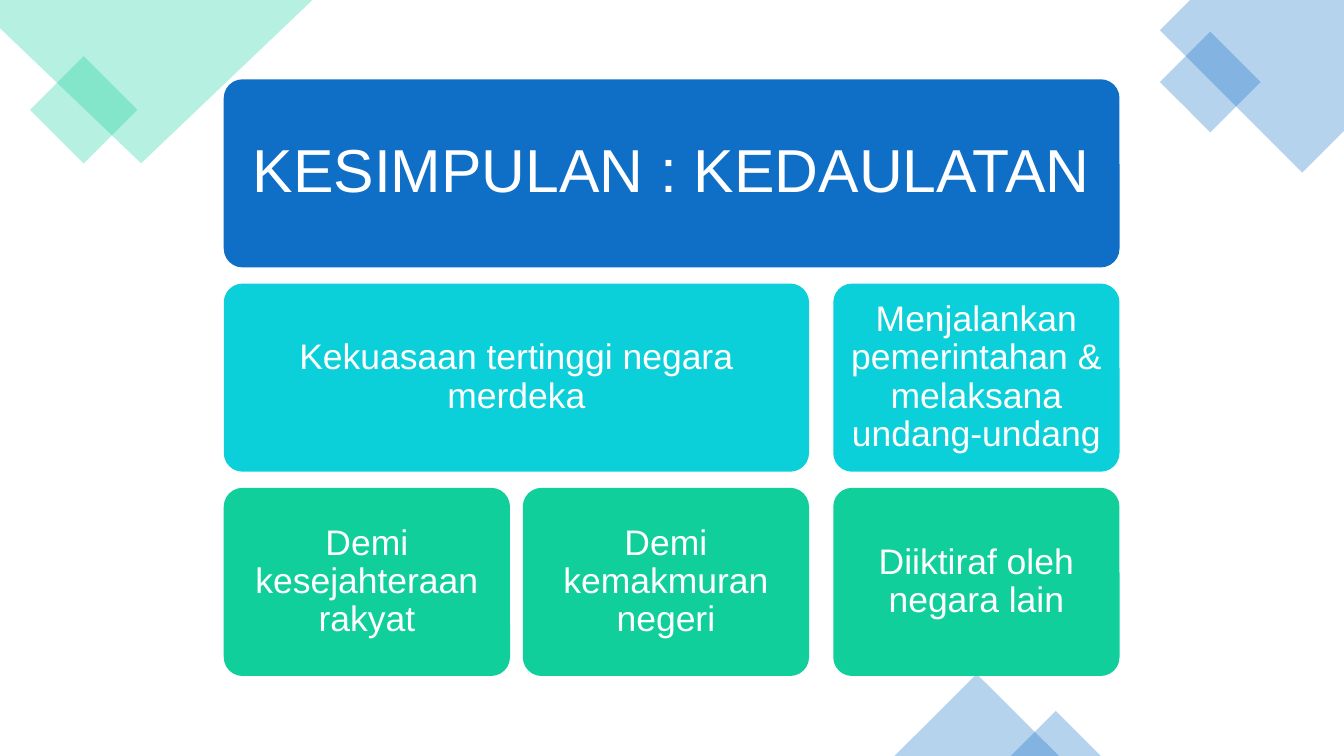
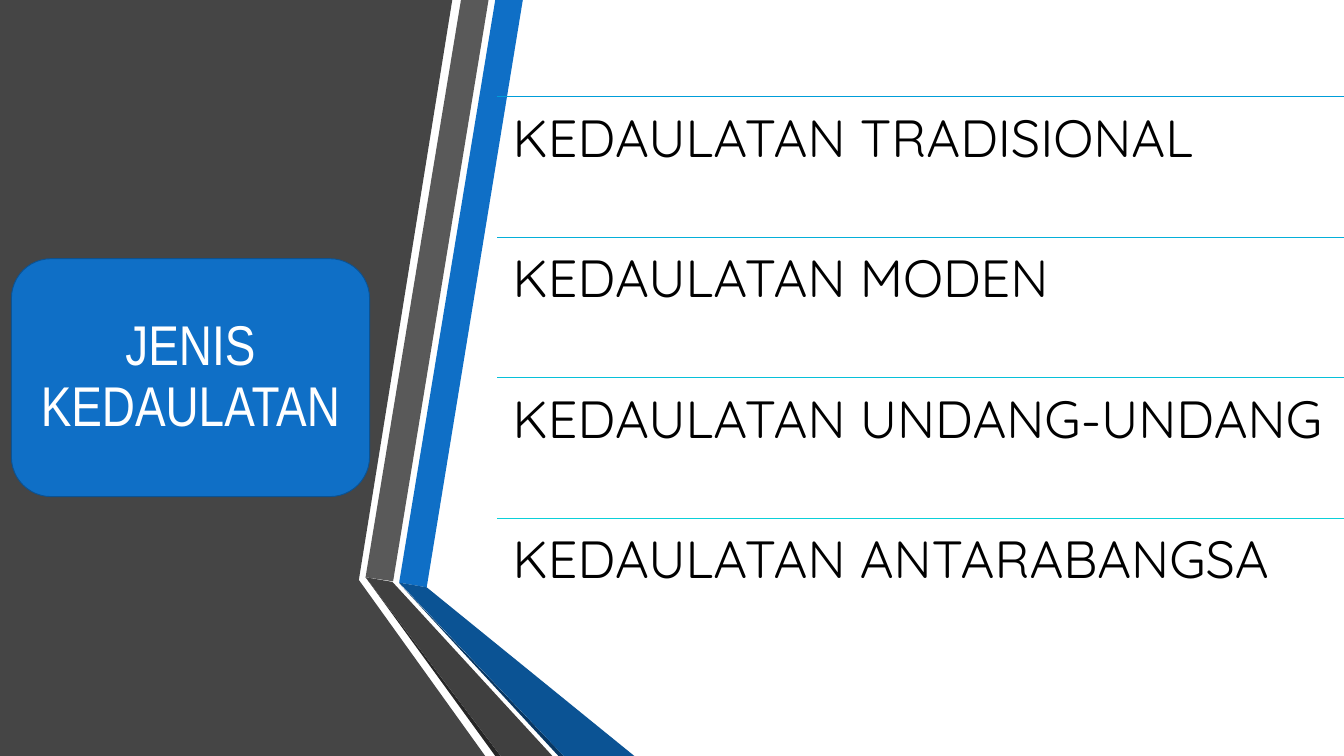
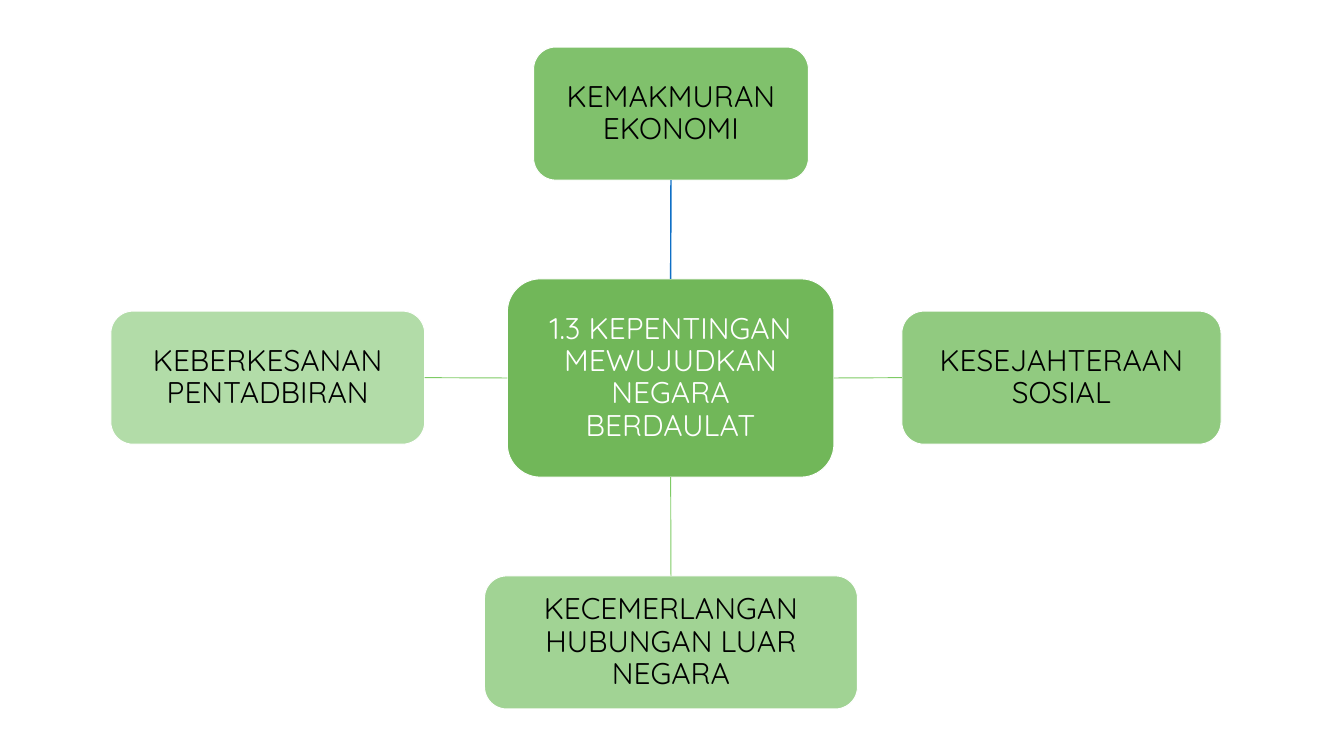
from lxml import etree
from pptx import Presentation
from pptx.dml.color import RGBColor
from pptx.enum.shapes import MSO_CONNECTOR, MSO_SHAPE
from pptx.enum.text import MSO_ANCHOR, PP_ALIGN
from pptx.oxml.ns import qn
from pptx.util import Inches, Pt

STRAIGHT = MSO_CONNECTOR.STRAIGHT
ROUNDED, DIAMOND, TRIANGLE = MSO_SHAPE.ROUNDED_RECTANGLE, MSO_SHAPE.RECTANGLE, MSO_SHAPE.ISOSCELES_TRIANGLE
LEFT, CENTER = PP_ALIGN.LEFT, PP_ALIGN.CENTER
TOP, MIDDLE = MSO_ANCHOR.TOP, MSO_ANCHOR.MIDDLE

# The slide is a grid of square cells, 20 columns by 11.25 rows.
CELL = Inches(1)
COLUMNS, ROWS = 20, 11.25

COLOURS = {
    "white": "FFFFFF", "black": "000000",
    "blue": "0F6FC6", "cyan": "0BD0D9", "green": "10CF9B",
    "blue edge": "0B5292", "blue fold": "0B5394", "blue shade": "083763",
    "panel": "454545", "grey": "595959", "grey fold": "404040", "grey shade": "262626",
    "rule 1": "009DD9", "rule 2": "04AFD9", "rule 3": "07C0D9", "rule 4": "0BD0D9",
    "hub": "71B759", "top": "80C16C", "right": "91CA80", "bottom": "A1D394", "left": "B2DCA8",
    "spoke": "7ECB65",
}
FONTS = {
    "heading": {"name": "Arial", "size": Pt(65)},
    "card": {"name": "Arial", "size": Pt(38)},
    "label": {"name": "Arial Narrow", "size": Pt(60)},
    "list": {"name": "Quicksand", "size": Pt(56)},
    "node": {"name": "Quicksand", "size": Pt(32)},
}


def add_figure(slide, fill, preset=None, box=None, points=None, line=None, opacity=100):
    """Add a preset shape in a box of cells, or a closed outline through points."""
    if points:
        corners = [(round(x * CELL), round(y * CELL)) for x, y in points]
        builder = slide.shapes.build_freeform(*corners[0])
        builder.add_line_segments(corners[1:], close=True)
        shape = builder.convert_to_shape()
    else:
        shape = slide.shapes.add_shape(preset, *(round(length * CELL) for length in box))
    shape.shadow.inherit = False
    shape.fill.solid()
    shape.fill.fore_color.rgb = RGBColor.from_string(COLOURS[fill])
    if opacity < 100:
        colour = shape.element.spPr.find(qn("a:solidFill"))[0]
        etree.SubElement(colour, qn("a:alpha"), val=str(opacity * 1000))
    if line:
        shape.line.color.rgb = RGBColor.from_string(COLOURS[line])
        shape.line.width = Pt(1)
    else:
        shape.line.fill.background()
    return shape


def write(shape, text, font, colour, inset, alignment=CENTER, anchor=MIDDLE):
    frame = shape.text_frame
    margin = round(inset * CELL)
    frame_format = {"word_wrap": True, "vertical_anchor": anchor, "margin_left": margin,
                    "margin_right": margin, "margin_top": margin, "margin_bottom": margin}
    for name, value in frame_format.items():
        setattr(frame, name, value)
    paragraph = frame.paragraphs[0]
    paragraph.text = text
    paragraph.alignment = alignment
    paragraph.line_spacing = 0.9
    for name, value in FONTS[font].items():
        setattr(paragraph.font, name, value)
    paragraph.font.color.rgb = RGBColor.from_string(COLOURS[colour])


presentation = Presentation()
presentation.slide_width = COLUMNS * CELL
presentation.slide_height = round(ROWS * CELL)
blank = presentation.slide_layouts[6]
summary, types, importance = (presentation.slides.add_slide(blank) for _ in range(3))
rules = []

# Summary: translucent corners
corner_outlines = [
    ("green", [(0, 0), (4.65, 0), (2.1, 2.43), (0, 0.42)]),
    ("blue", [(17.71, 0), (COLUMNS, 0), (COLUMNS, 1.95), (19.38, 2.57), (17.26, 0.45)]),
]
for fill, points in corner_outlines:
    add_figure(summary, fill, points=points, opacity=30)

corner_shapes = [
    ("green", DIAMOND, (0.68, 1.07, 1.13, 1.13), 45),
    ("blue", DIAMOND, (17.48, 0.69, 1.06, 1.06), 45),
    ("blue", TRIANGLE, (13.31, 10.03, 2.45, 1.22), 0),
    ("blue", TRIANGLE, (15.04, 10.58, 1.34, 0.67), 0),
]
for fill, preset, box, angle in corner_shapes:
    add_figure(summary, fill, preset, box, opacity=30).rotation = angle

# Summary: cards by row, first column and last column
card_lefts = [3.33, 7.78, 12.4]
card_width, card_height = 4.26, 2.8
first_row, row_step = 1.18, 3.04
cards = [
    (0, 0, 2, "blue", "heading", 0.27, "KESIMPULAN : KEDAULATAN"),
    (1, 0, 1, "cyan", "card", 0.16, "Kekuasaan tertinggi negara merdeka"),
    (2, 0, 0, "green", "card", 0.16, "Demi kesejahteraan rakyat"),
    (2, 1, 1, "green", "card", 0.16, "Demi kemakmuran negeri"),
    (1, 2, 2, "cyan", "card", 0.16, "Menjalankan pemerintahan & melaksana undang-undang"),
    (2, 2, 2, "green", "card", 0.16, "Diiktiraf oleh negara lain"),
]
for row, first, last, fill, font, inset, text in cards:
    left = card_lefts[first]
    width = card_lefts[last] + card_width - left
    card = add_figure(summary, fill, ROUNDED, (left, first_row + row * row_step, width, card_height))
    card.adjustments[0] = 0.1
    write(card, text, font, "white", inset)

# Types: folded ribbons beside a dark panel
ribbons = [
    ("panel", [(0, 0), (6.73, 0), (5.34, 8.63), (7.22, ROWS), (0, ROWS)]),
    ("blue", [(5.94, 8.67), (6.35, 8.74), (7.78, 0), (7.37, 0)]),
    ("grey", [(7.27, 0), (6.86, 0), (5.44, 8.59), (5.85, 8.65)]),
    ("grey shade", [(5.44, 8.59), (7.37, ROWS), (7.45, ROWS)]),
    ("blue shade", [(5.94, 8.68), (8.31, ROWS), (8.39, ROWS)]),
    ("blue fold", [(5.94, 8.67), (8.39, ROWS), (9.44, ROWS), (6.35, 8.74)]),
    ("grey fold", [(8.22, ROWS), (5.84, 8.66), (5.44, 8.59), (7.45, ROWS)]),
]
for fill, points in ribbons:
    add_figure(types, fill, points=points)

label = add_figure(types, "blue", ROUNDED, (0.17, 3.85, 5.33, 3.54), line="blue edge")
write(label, "JENIS KEDAULATAN", "label", "white", 0.1)

list_left, list_top, list_width, list_step = 7.4, 1.44, 12.73, 2.09
kinds = ["TRADISIONAL", "MODEN", "UNDANG-UNDANG", "ANTARABANGSA"]
for index, kind in enumerate(kinds):
    left, top, width, height = (round(length * CELL) for length in (
        list_left, list_top + index * list_step, list_width, list_step))
    rule = types.shapes.add_connector(STRAIGHT, left, top, left + width, top)
    rules.append((rule, f"rule {index + 1}", 1))
    entry = types.shapes.add_textbox(left, top, width, height)
    write(entry, f"KEDAULATAN {kind}", "list", "black", 0.23, LEFT, TOP)

# Importance: a hub and four nodes, numbered by the hub's connection sites
hub = add_figure(importance, "hub", ROUNDED, (7.55, 4.15, 4.86, 2.95), line="white")
write(hub, "1.3 KEPENTINGAN MEWUJUDKAN NEGARA BERDAULAT", "node", "white", 0.09)

node_height = 1.98
nodes = [
    (0, "top", 7.94, 0.7, 4.09, "blue", 1.5, "KEMAKMURAN EKONOMI"),
    (3, "right", 13.42, 4.63, 4.75, "spoke", 1, "KESEJAHTERAAN SOSIAL"),
    (2, "bottom", 7.21, 8.57, 5.55, "spoke", 1, "KECEMERLANGAN HUBUNGAN LUAR NEGARA"),
    (1, "left", 1.65, 4.63, 4.67, "spoke", 1, "KEBERKESANAN PENTADBIRAN"),
]
for site, fill, left, top, width, spoke_colour, spoke_width, text in nodes:
    node = add_figure(importance, fill, ROUNDED, (left, top, width, node_height), line="white")
    write(node, text, "node", "black", 0.09)
    spoke = importance.shapes.add_connector(STRAIGHT, 0, 0, 0, 0)
    spoke.begin_connect(hub, site)
    spoke.end_connect(node, (site + 2) % 4)
    rules.append((spoke, spoke_colour, spoke_width))

for rule, colour, width in rules:
    rule.line.color.rgb = RGBColor.from_string(COLOURS[colour])
    rule.line.width = Pt(width)
    etree.SubElement(rule._element.spPr, qn("a:effectLst"))

presentation.save("out.pptx")
